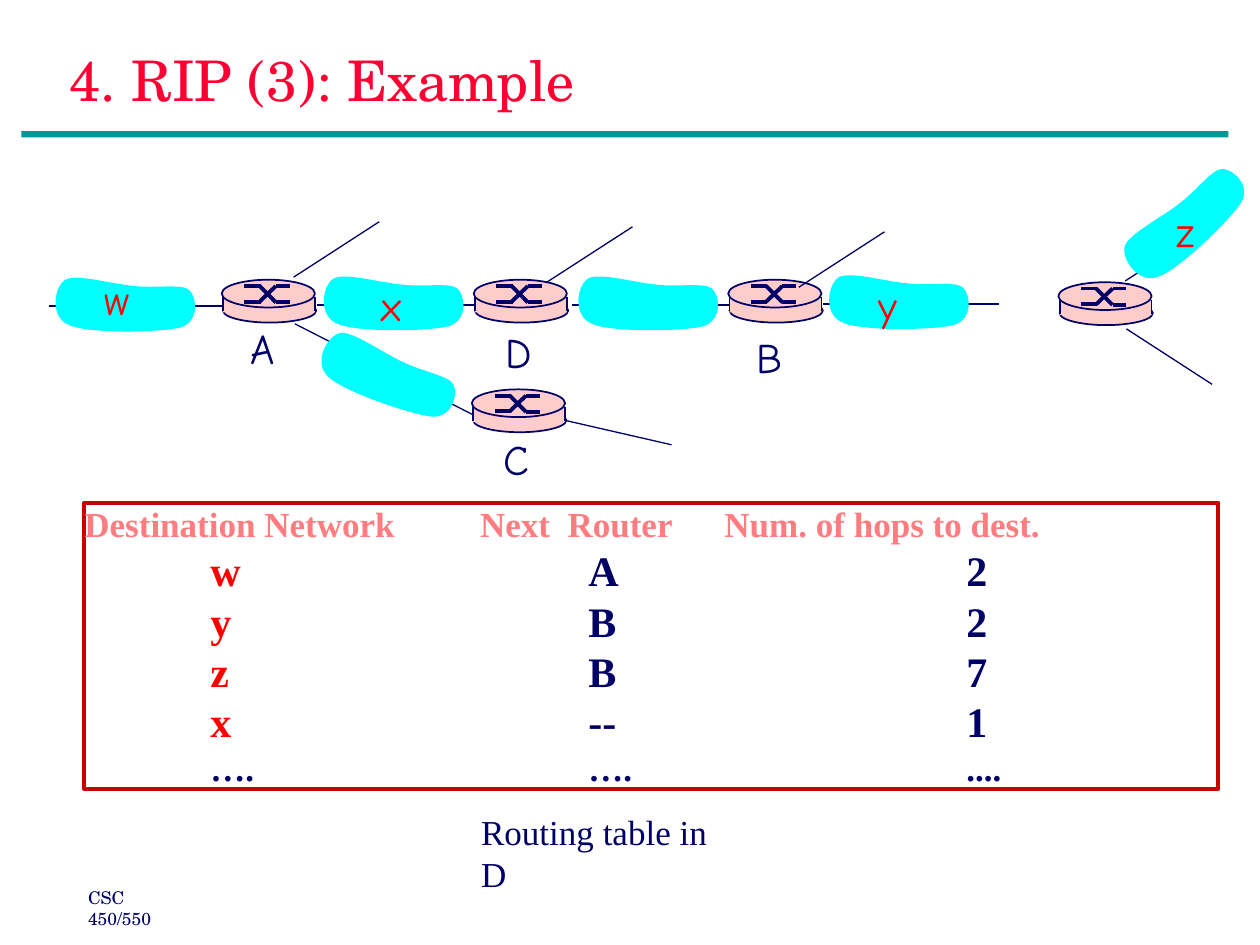
import pptx
import pptx.util
import pptx.dml.color
import pptx.enum.shapes
import pptx.enum.text
import pptx.oxml.ns
import lxml.etree

RGB = pptx.dml.color.RGBColor
NAVY = RGB(0x00, 0x00, 0x66)
TEAL = RGB(0x00, 0x99, 0x99)
ROSE = RGB(0xFF, 0x00, 0x33)
RED = RGB(0xFF, 0x00, 0x00)
FRAME = RGB(0xCC, 0x00, 0x00)
CORAL = RGB(0xFF, 0x7C, 0x80)
PINK = RGB(0xFF, 0xCC, 0xCC)
CYAN = RGB(0x00, 0xFF, 0xFF)
SERIF, SCHOOL, COMIC = "Times New Roman", "TeX Gyre Schola", "Comic Neue"

Pt = pptx.util.Pt
qn = pptx.oxml.ns.qn
KIND = pptx.enum.shapes.MSO_SHAPE
RECT, OVAL = KIND.RECTANGLE, KIND.OVAL
FIT = pptx.enum.text.MSO_AUTO_SIZE
LEFT = pptx.enum.text.PP_ALIGN.LEFT

deck = pptx.Presentation()
deck.slide_width = pptx.util.Inches(10)
deck.slide_height = pptx.util.Inches(7.5)
cell = deck.slide_width / 100
slide = deck.slides.add_slide(deck.slide_layouts[5])
shapes = slide.shapes


def grid(*counts):
    return [round(count * cell) for count in counts]


def wire(parent, ends, width):
    line = parent.add_connector(pptx.enum.shapes.MSO_CONNECTOR.STRAIGHT, *grid(*ends))
    line.line.color.rgb = NAVY
    line.line.width = Pt(width)
    lxml.etree.SubElement(line._element.spPr, qn("a:effectLst"))


title = shapes.title
title.left, title.top, title.width, title.height = grid(4.5, 0, 85, 12.5)
frame = title.text_frame
frame.text = "4. RIP (3): Example"
frame.auto_size = FIT.NONE
frame.vertical_anchor = pptx.enum.text.MSO_ANCHOR.MIDDLE
frame.paragraphs[0].alignment = LEFT
font = frame.paragraphs[0].runs[0].font
font.size, font.name, font.color.rgb = Pt(32), SCHOOL, ROSE

bar = shapes.add_shape(RECT, *grid(1.7, 10.4, 95.8, 0.5))
bar.shadow.inherit = False
bar.fill.solid()
bar.fill.fore_color.rgb = TEAL
bar.line.fill.background()

for left, top in [(3.9, 24.3), (25.2, 24.2), (45.4, 24.2), (65.3, 24.1)]:
    wire(shapes, (left, top, left + 14, top), 1)

discs = [
    (OVAL, 0.1, 1.5, 7.4, 1.9),
    (RECT, 0.1, 1.4, 7.3, 1.2),
    (OVAL, 0, 0, 7.4, 2.2),
]
sides = [(0.1, 1.4, 0.1, 2.5), (7.4, 1.4, 7.4, 2.5)]
marks = [
    (1.8, 0.5, 3.1, 0.5), (4.3, 1.8, 5.4, 1.8), (3, 0.5, 4.3, 1.8),
    (1.8, 1.75, 3.1, 1.75), (4.3, 0.5, 5.4, 0.5), (3, 1.75, 4.3, 0.5),
]
for left, top in [(37.6, 22.2), (17.6, 22.2), (37.45, 30.9), (57.8, 22.2), (84, 22.4)]:
    router = shapes.add_group_shape().shapes
    for kind, x, y, wide, high in discs:
        disc = router.add_shape(kind, *grid(left + x, top + y, wide, high))
        disc.shadow.inherit = False
        disc.fill.solid()
        disc.fill.fore_color.rgb = PINK
        if kind == OVAL:
            disc.line.color.rgb = NAVY
            disc.line.width = Pt(1)
        else:
            disc.line.fill.background()
    for group, width in [(sides, 1), (marks, 2.25)]:
        for x, y, far, low in group:
            wire(router, (left + x, top + y, left + far, top + low), width)

spokes = [
    (23.3, 22, 30.1, 17.6), (43.4, 22.4, 50.2, 18), (63.4, 22.8, 70.2, 18.4),
    (89.3, 22.3, 96.1, 17.9), (89.4, 26.1, 96.2, 30.5),
    (23.4, 25.7, 37.5, 32.9), (45, 33.4, 53.3, 35.3),
]
for spoke in spokes:
    wire(shapes, spoke, 0.75)

curve = [
    (6.8, 1), (5.2, 0.9), (2.2, 0), (1.3, 0.5), (0.4, 1), (0, 3.5), (1.6, 4.1),
    (3.1, 4.8), (8.8, 4.7), (10.4, 4.3), (12, 3.8), (11.7, 1.8), (11.1, 1.3),
    (10.5, 0.8), (8.4, 1.2), (6.8, 1),
]
clouds = [
    (25.2, 21.6, 0), (24.8, 27.4, 19.7), (3.9, 21.7, 0),
    (45.4, 21.6, 0), (65.3, 21.5, 0), (88, 15.3, 316.8),
]
for left, top, turn in clouds:
    points = [grid(left + x, top + y) for x, y in curve]
    pen = shapes.build_freeform(*points[0])
    pen.add_line_segments(points[1:], close=True)
    cloud = pen.convert_to_shape()
    steps = list(cloud._element.iter(qn("a:lnTo")))
    for start in range(0, len(steps), 3):
        bend = steps[start].makeelement(qn("a:cubicBezTo"))
        steps[start].addprevious(bend)
        for step in steps[start:start + 3]:
            bend.append(step[0])
            step.getparent().remove(step)
    cloud.rotation = turn
    cloud.shadow.inherit = False
    cloud.fill.solid()
    cloud.fill.fore_color.rgb = CYAN
    cloud.line.fill.background()

labels = [
    ("w", 7.3, 21.2, 4, 5, 24, COMIC, RED),
    ("x", 29.3, 21.7, 3.6, 5, 24, COMIC, RED),
    ("y", 68.7, 21.7, 3.5, 5, 24, COMIC, RED),
    ("z", 92.4, 15.8, 3.4, 5, 24, COMIC, RED),
    ("A", 18.9, 25.1, 3.9, 5, 24, COMIC, NAVY),
    ("C", 39, 33.9, 4, 5, 24, COMIC, NAVY),
    ("D", 39.1, 25.4, 4.1, 5, 24, COMIC, NAVY),
    ("B", 59.1, 25.8, 4, 5, 24, COMIC, NAVY),
    ("Routing table in D", 37.2, 63.8, 22.6, 4.4, 20, SERIF, NAVY),
    ("CSC 450/550", 6, 69.9, 10.2, 2.7, 10, SCHOOL, NAVY),
]
for text, left, top, wide, high, size, face, color in labels:
    frame = shapes.add_textbox(*grid(left, top, wide, high)).text_frame
    frame.word_wrap = False
    frame.auto_size = FIT.SHAPE_TO_FIT_TEXT
    frame.text = text
    font = frame.paragraphs[0].runs[0].font
    font.size, font.name, font.color.rgb = Pt(size), face, color

table = shapes.add_shape(RECT, *grid(6.7, 39.9, 90, 22.7))
table.shadow.inherit = False
table.fill.background()
table.line.color.rgb = FRAME
table.line.width = Pt(2.25)
frame = table.text_frame
frame.word_wrap = True
frame.vertical_anchor = pptx.enum.text.MSO_ANCHOR.TOP
frame.margin_left = frame.margin_top = frame.margin_right = frame.margin_bottom = 0

rows = [
    ("Destination Network", "\tNext  Router\tNum. of hops to dest.", 20, CORAL, CORAL),
    ("\tw", "\tA\t2", 24, RED, NAVY),
    ("\ty", "\tB\t2", 24, RED, NAVY),
    ("\tz", "\tB\t7", 24, RED, NAVY),
    ("\tx", "\t--\t1", 24, RED, NAVY),
    ("\t….", "\t….\t....", 20, NAVY, NAVY),
]
for count, (name, rest, size, first, second) in enumerate(rows):
    para = frame.paragraphs[0] if count == 0 else frame.add_paragraph()
    para.text = name
    para.add_run().text = rest
    para.alignment = LEFT
    tabs = lxml.etree.SubElement(para._p.get_or_add_pPr(), qn("a:tabLst"))
    for stop in grid(10, 40, 70) if count else grid(31.4, 50.8):
        lxml.etree.SubElement(tabs, qn("a:tab"), pos=str(stop), algn="l")
    for run, color in zip(para.runs, (first, second)):
        font = run.font
        font.size, font.name, font.bold, font.color.rgb = Pt(size), SERIF, True, color

deck.save("out.pptx")
